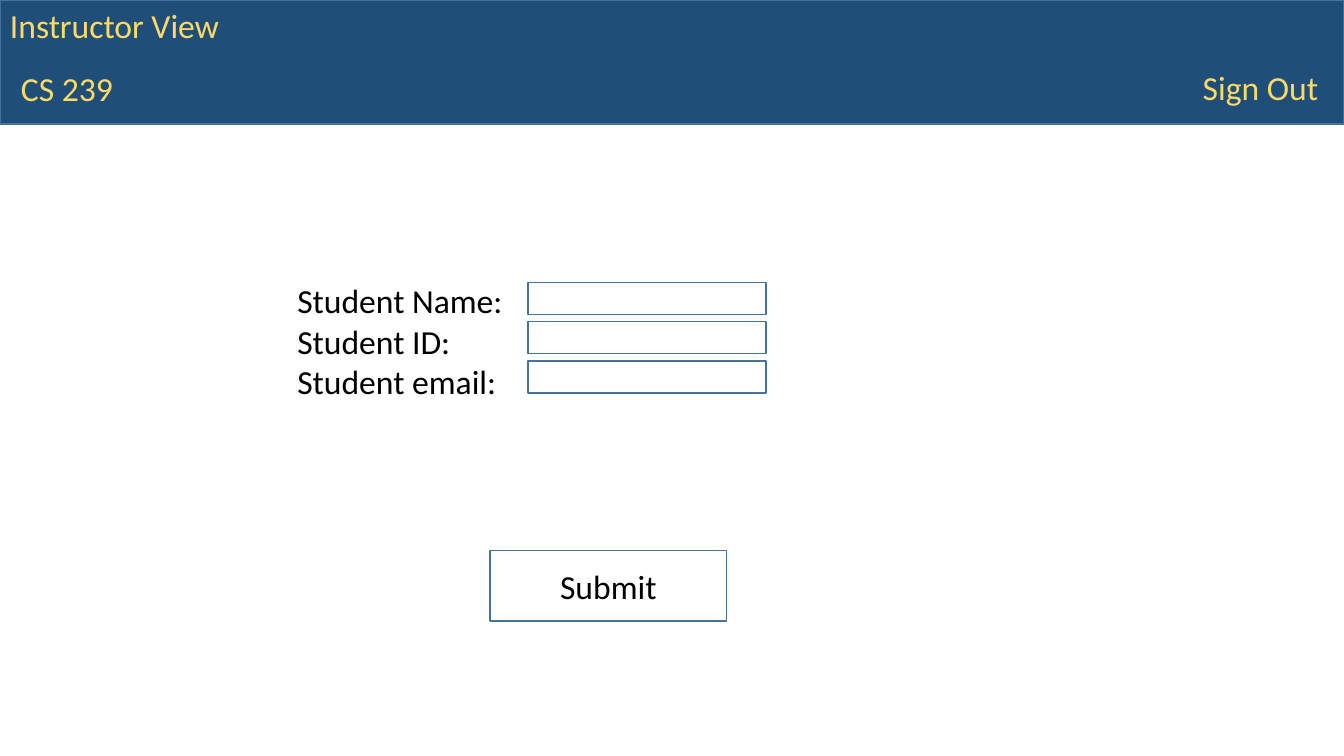
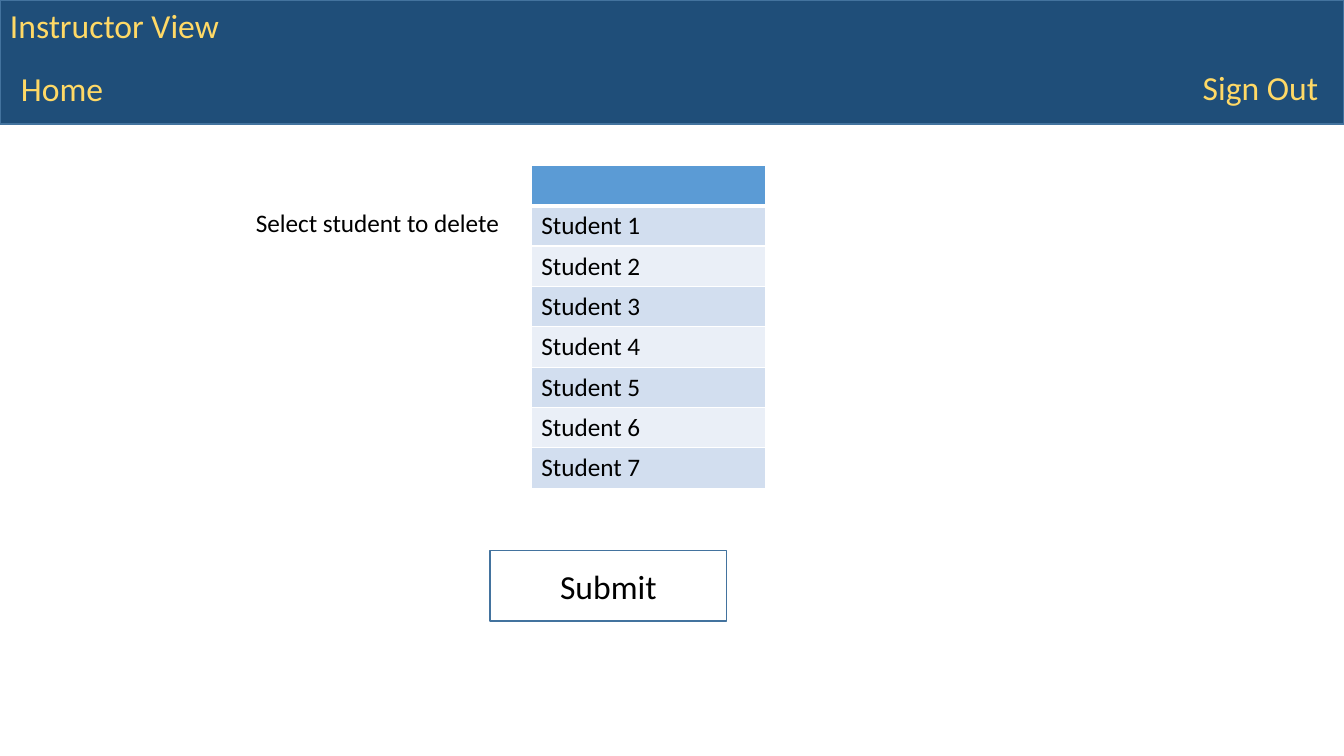
import dataclasses

import lxml.etree
import pptx
import pptx.dml.color
import pptx.enum.shapes
import pptx.enum.text
import pptx.oxml.ns
import pptx.util

RECT = pptx.enum.shapes.MSO_SHAPE.RECTANGLE
ALIGN = pptx.enum.text.PP_ALIGN
ANCHOR = pptx.enum.text.MSO_ANCHOR


@dataclasses.dataclass(frozen=True)
class Theme:
    font: str = "Calibri"
    large: int = 24
    body: int = 18
    band: str = "1F4E79"
    outline: str = "43739E"
    accent: str = "FFD966"
    ink: str = "000000"
    header: str = "5B9BD5"
    stripes: tuple = ("D2DEEF", "EAEFF7")
    rule: str = "FFFFFF"


THEME = Theme()


def rgb(code):
    return pptx.dml.color.RGBColor.from_string(code)


def write(tf, text, size=THEME.large, color=THEME.ink, align=ALIGN.LEFT):
    """Fill a text frame, one paragraph per line of text."""
    for i, line in enumerate(text.split("\n")):
        p = tf.add_paragraph() if i else tf.paragraphs[0]
        p.alignment = align
        r = p.add_run()
        r.text = line
        r.font.name = THEME.font
        r.font.size = pptx.util.Pt(size)
        r.font.color.rgb = rgb(color)


def set_borders(cell, color, **widths):
    """Draw cell edges; widths in points are keyed L, R, T, B in that order."""
    qn = pptx.oxml.ns.qn
    tc_pr = cell._tc.get_or_add_tcPr()
    for side, width in widths.items():
        ln = lxml.etree.SubElement(tc_pr, qn(f"a:ln{side}"), w=str(pptx.util.Pt(width)))
        fill = lxml.etree.SubElement(ln, qn("a:solidFill"))
        lxml.etree.SubElement(fill, qn("a:srgbClr"), val=color)


class Deck:
    """Holds the current slide; all lengths are percent of its width or height."""

    def __init__(self):
        self.prs = pptx.Presentation()
        self.prs.slide_width = pptx.util.Inches(13.33)
        self.prs.slide_height = pptx.util.Inches(7.5)
        self.s = None

    def place(self, x, y, w, h):
        width, height = self.prs.slide_width, self.prs.slide_height
        return [int(share * full / 100) for share, full in
                ((x, width), (y, height), (w, width), (h, height))]

    def page(self, section):
        """Start a slide with the shared header band."""
        self.s = self.prs.slides.add_slide(self.prs.slide_layouts[6])
        self.box(0, 0, 100, 16.4, fill=THEME.band)
        self.text(88.75, 8.13, 11.25, 6.67, "Sign Out", color=THEME.accent)
        self.text(0, 0, 17.25, 6.67, "Instructor View", color=THEME.accent)
        self.text(0.82, 8.27, 12.3, 6.67, section, color=THEME.accent)

    def box(self, x, y, w, h, fill=None):
        sp = self.s.shapes.add_shape(RECT, *self.place(x, y, w, h))
        sp.shadow.inherit = False
        if fill:
            sp.fill.solid()
            sp.fill.fore_color.rgb = rgb(fill)
        else:
            sp.fill.background()
        sp.line.color.rgb = rgb(THEME.outline)
        sp.line.width = pptx.util.Pt(1)
        return sp

    def text(self, x, y, w, h, text, **style):
        tf = self.s.shapes.add_textbox(*self.place(x, y, w, h)).text_frame
        tf.word_wrap = True
        write(tf, text, **style)

    def submit_button(self):
        tf = self.box(36.45, 72.8, 17.63, 9.33).text_frame
        tf.vertical_anchor = ANCHOR.MIDDLE
        write(tf, "Submit", align=ALIGN.CENTER)

    def form(self, x, y, labels):
        self.text(x, y, 17.92, 17.47, "\n".join(labels))
        for i in range(len(labels)):
            self.box(x + 17.92, y + 0.93 + 5.2 * i, 17.7, 4.27)

    def listing(self, x, y, w, row_h, items):
        """One-column striped table under an empty header."""
        rows = ["", *items]
        frame = self.s.shapes.add_table(
            len(rows), 1, *self.place(x, y, w, row_h * len(rows)))
        for i, item in enumerate(rows):
            cell = frame.table.cell(i, 0)
            set_borders(cell, THEME.rule, L=1, R=1, T=3 if i == 1 else 1, B=1 if i else 3)
            cell.fill.solid()
            cell.fill.fore_color.rgb = rgb(THEME.stripes[(i - 1) % 2] if i else THEME.header)
            if item:
                write(cell.text_frame, item, size=THEME.body)


def main():
    deck = Deck()

    deck.page("CS 239")
    deck.form(21.38, 36.4, ["Student Name:", "Student ID:", "Student email:"])
    deck.submit_button()

    deck.page("Home")
    deck.submit_button()
    deck.text(18.3, 26.8, 21.23, 5.33, "Select student to delete", size=THEME.body)
    deck.listing(39.53, 21.87, 17.4, 5.33, [f"Student {n}" for n in range(1, 8)])

    deck.prs.save("out.pptx")


if __name__ == "__main__":
    main()
